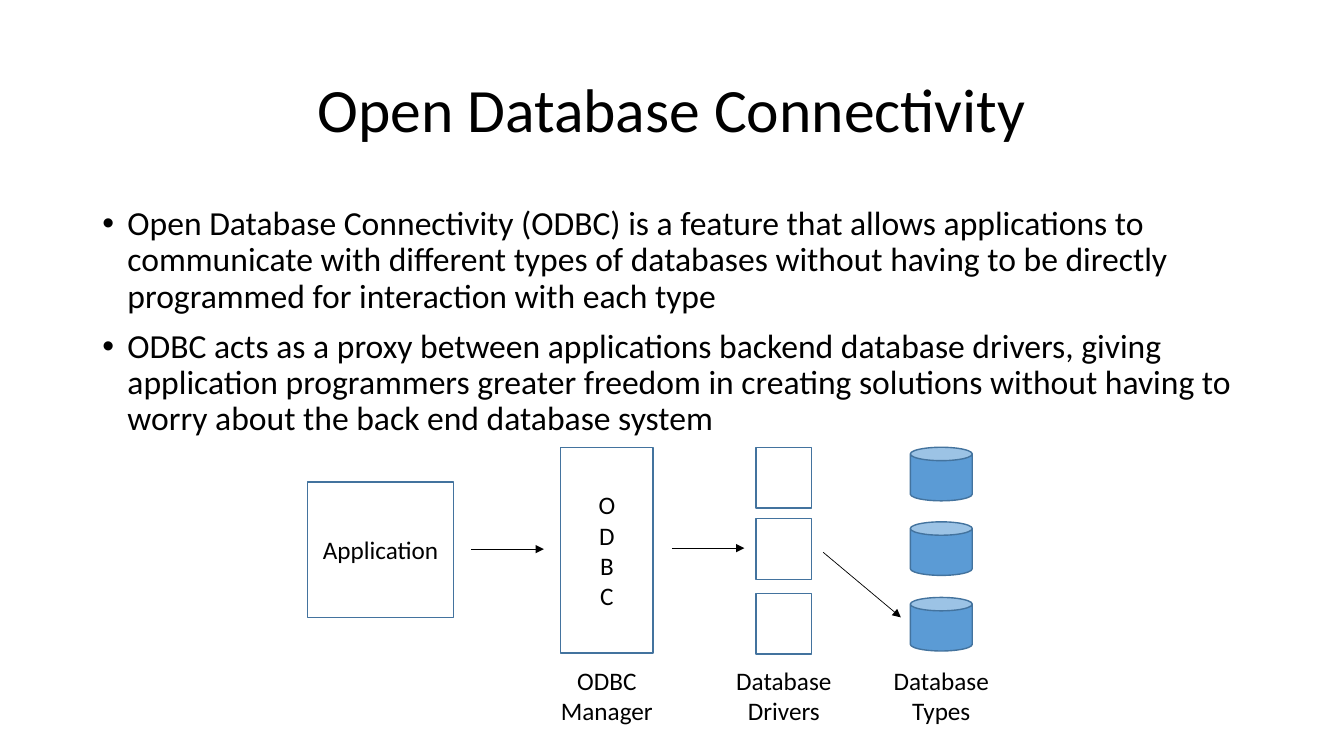
from dataclasses import dataclass

from lxml.etree import SubElement
from pptx import Presentation
from pptx.dml.color import RGBColor
from pptx.enum.shapes import MSO_CONNECTOR, MSO_SHAPE
from pptx.enum.text import MSO_ANCHOR, PP_ALIGN
from pptx.oxml.ns import qn
from pptx.util import Emu, Pt

EMU_PER_PX = 9525


@dataclass(frozen=True)
class Theme:
    font: str = "Calibri"
    ink: RGBColor = RGBColor(0x00, 0x00, 0x00)
    outline: RGBColor = RGBColor(0x43, 0x73, 0x9E)
    database: RGBColor = RGBColor(0x5B, 0x9B, 0xD5)
    title_size: int = 44
    body_size: int = 24
    label_size: int = 18


THEME = Theme()


def px(*lengths):
    return [Emu(length * EMU_PER_PX) for length in lengths]


def add_bullet(para):
    indent = px(24)[0]
    properties = para._p.get_or_add_pPr()
    properties.set("marL", str(indent))
    properties.set("indent", str(-indent))
    SubElement(properties, qn("a:buFont"), typeface="Arial")
    SubElement(properties, qn("a:buChar"), char="•")


def write(frame, lines, size=THEME.label_size, align=PP_ALIGN.CENTER,
          anchor=MSO_ANCHOR.MIDDLE, wrap=True, spacing=1.0, gap=0, bullet=False):
    """Fill a text frame, one paragraph for each line."""
    frame.word_wrap = wrap
    frame.vertical_anchor = anchor
    for index, line in enumerate(lines):
        para = frame.add_paragraph() if index else frame.paragraphs[0]
        para.alignment = align
        para.line_spacing = spacing
        para.space_before = Pt(gap if index else 0)
        if bullet:
            add_bullet(para)
        span = para.add_run()
        span.text = line
        span.font.name = THEME.font
        span.font.size = Pt(size)
        span.font.color.rgb = THEME.ink


def add_text(page, bounds, lines, **layout):
    box = page.shapes.add_textbox(*px(*bounds))
    write(box.text_frame, lines, **layout)


def add_block(page, bounds, kind=MSO_SHAPE.RECTANGLE, fill=None, lines=()):
    block = page.shapes.add_shape(kind, *px(*bounds))
    block.shadow.inherit = False
    if fill is None:
        block.fill.background()
    else:
        block.fill.solid()
        block.fill.fore_color.rgb = fill
    block.line.color.rgb = THEME.outline
    block.line.width = Pt(1)
    write(block.text_frame, lines)


def add_arrow(page, start, end):
    arrow = page.shapes.add_connector(MSO_CONNECTOR.STRAIGHT, *px(*start, *end))
    arrow.line.color.rgb = THEME.ink
    arrow.line.width = Pt(0.5)
    SubElement(arrow.line._get_or_add_ln(), qn("a:tailEnd"), type="triangle")
    SubElement(arrow._element.spPr, qn("a:effectLst"))


def add_diagram(page):
    add_block(page, (293, 459, 139, 129), lines=["Application"])
    add_block(page, (534, 426, 88, 196), lines=list("ODBC"))

    for driver_top, database_top in ((426, 426), (494, 497), (565, 569)):
        add_block(page, (720, driver_top, 53, 58))
        add_block(page, (867, database_top, 59, 51), MSO_SHAPE.CAN, THEME.database)

    add_arrow(page, (449, 523), (518, 523))
    add_arrow(page, (640, 522), (709, 522))
    add_arrow(page, (784, 526), (858, 588))

    for left, width, caption in (
        (524, 108, ["ODBC", "Manager"]),
        (691, 111, ["Database", "Drivers"]),
        (841, 111, ["Database", "Types"]),
    ):
        add_text(page, (left, 629, width, 68), caption,
                 anchor=MSO_ANCHOR.TOP, wrap=False)


def main():
    deck = Presentation()
    deck.slide_width, deck.slide_height = px(1280, 720)
    page = deck.slides.add_slide(deck.slide_layouts[6])

    add_text(page, (88, 38, 1104, 139), ["Open Database Connectivity"],
             size=THEME.title_size, spacing=0.9)
    add_text(page, (88, 192, 1104, 457), [
        "Open Database Connectivity (ODBC) is a feature that allows applications to "
        "communicate with different types of databases without having to be directly "
        "programmed for interaction with each type",
        "ODBC acts as a proxy between applications backend database drivers, giving "
        "application programmers greater freedom in creating solutions without having "
        "to worry about the back end database system",
    ], size=THEME.body_size, align=PP_ALIGN.LEFT, anchor=MSO_ANCHOR.TOP,
        spacing=0.9, gap=10, bullet=True)
    add_diagram(page)

    deck.save("out.pptx")


if __name__ == "__main__":
    main()
